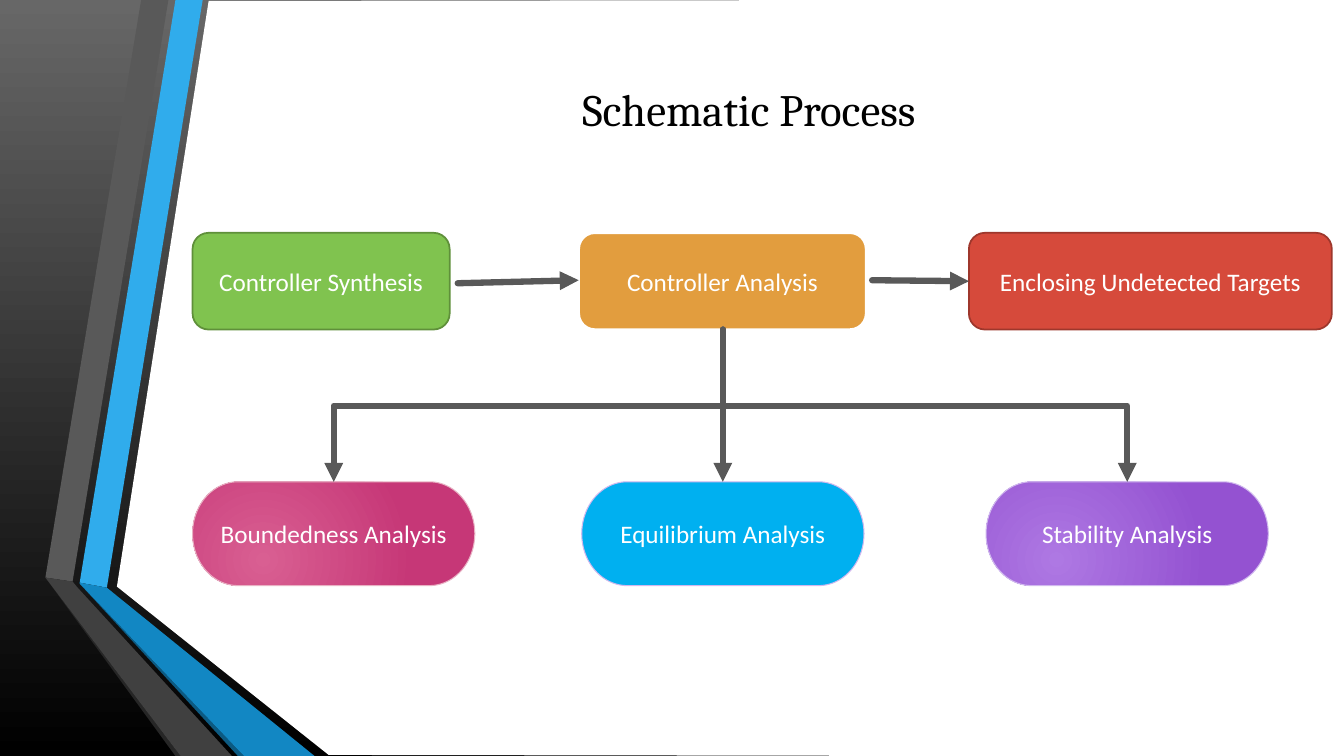
from dataclasses import dataclass
from typing import Optional, Union

from lxml import etree
from pptx import Presentation
from pptx.dml.color import RGBColor
from pptx.dml.fill import FillFormat
from pptx.enum.shapes import MSO_CONNECTOR, MSO_SHAPE
from pptx.enum.text import MSO_ANCHOR, PP_ALIGN
from pptx.oxml.ns import qn
from pptx.shapes.autoshape import Shape
from pptx.shapes.connector import Connector
from pptx.shapes.shapetree import GroupShapes, SlideShapes
from pptx.util import Inches, Pt

RECTANGLE = MSO_SHAPE.RECTANGLE
ROUNDED = MSO_SHAPE.ROUNDED_RECTANGLE
TERMINATOR = MSO_SHAPE.FLOWCHART_TERMINATOR
STRAIGHT = MSO_CONNECTOR.STRAIGHT
ELBOW = MSO_CONNECTOR.ELBOW
CENTER = PP_ALIGN.CENTER
MIDDLE = MSO_ANCHOR.MIDDLE

WHITE = RGBColor(0xFF, 0xFF, 0xFF)
BLACK = RGBColor(0x00, 0x00, 0x00)
BACKDROP_TOP = RGBColor(0x67, 0x67, 0x67)
GRAY = RGBColor(0x59, 0x59, 0x59)
DARK_GRAY = RGBColor(0x40, 0x40, 0x40)
DEEP_GRAY = RGBColor(0x26, 0x26, 0x26)
SKY = RGBColor(0x30, 0xAC, 0xEC)
BLUE = RGBColor(0x12, 0x87, 0xC3)
DEEP_BLUE = RGBColor(0x0C, 0x5A, 0x82)
GREEN = RGBColor(0x80, 0xC3, 0x4F)
GREEN_EDGE = RGBColor(0x5F, 0x90, 0x3A)
ORANGE = RGBColor(0xE2, 0x9D, 0x3E)
RED = RGBColor(0xD6, 0x4A, 0x3B)
RED_EDGE = RGBColor(0x9E, 0x37, 0x2C)
LIGHT_PINK = RGBColor(0xD9, 0x5F, 0x92)
PINK = RGBColor(0xC6, 0x37, 0x77)
PINK_EDGE = RGBColor(0xE8, 0xB1, 0xC3)
CYAN = RGBColor(0x00, 0xB0, 0xF0)
LIGHT_PURPLE = RGBColor(0xAE, 0x78, 0xE3)
PURPLE = RGBColor(0x94, 0x52, 0xD1)
PURPLE_EDGE = RGBColor(0xD0, 0xB8, 0xEE)

SLIDE_WIDTH, SLIDE_HEIGHT = 13.33, 7.5
STEP_TOP, STEP_HEIGHT = 2.31, 0.96
ANALYSIS_TOP, ANALYSIS_WIDTH, ANALYSIS_HEIGHT = 4.78, 2.8, 1.03
BRANCH_X, BRANCH_TOP = 7.17, STEP_TOP + STEP_HEIGHT

Point = tuple[float, float]


@dataclass(frozen=True)
class Box:
    label: str
    left: float
    top: float
    width: float
    height: float
    preset: MSO_SHAPE
    fill: RGBColor
    edge: RGBColor
    edge_width: float
    glow: Optional[RGBColor] = None


@dataclass(frozen=True)
class Band:
    color: RGBColor
    points: list[Point]


def step(label: str, left: float, width: float, fill: RGBColor,
         edge: RGBColor, edge_width: float = 1.25) -> Box:
    return Box(label, left, STEP_TOP, width, STEP_HEIGHT, ROUNDED, fill, edge, edge_width)


def analysis(label: str, left: float, fill: RGBColor, edge: RGBColor,
             glow: Optional[RGBColor] = None) -> Box:
    return Box(label, left, ANALYSIS_TOP, ANALYSIS_WIDTH, ANALYSIS_HEIGHT,
               TERMINATOR, fill, edge, 0.75, glow)


STEPS = [
    step("Controller Synthesis", 1.91, 2.55, GREEN, GREEN_EDGE),
    step("Controller Analysis", 5.74, 2.85, ORANGE, WHITE, 1.75),
    step("Enclosing Undetected Targets", 9.61, 3.6, RED, RED_EDGE),
]
ANALYSES = [
    analysis("Boundedness Analysis", 1.91, PINK, PINK_EDGE, LIGHT_PINK),
    analysis("Equilibrium Analysis", 5.77, CYAN, PURPLE_EDGE),
    analysis("Stability Analysis", 9.78, PURPLE, PURPLE_EDGE, LIGHT_PURPLE),
]
STEP_ARROWS = [((4.54, 2.81), (5.74, 2.78)), ((8.65, 2.78), (9.61, 2.79))]
BRANCH_ENDS = [3.31, 11.18, BRANCH_X]

PAGE = Band(WHITE, [(13.33, 0), (13.33, 7.5), (9.5, 7.5), (3.26, 7.49),
                    (1.16, 5.82), (2.07, 0.01), (9.5, 0)])
BANDS = [
    Band(SKY, [(0.79, 5.78), (1.06, 5.83), (2.01, 0), (1.74, 0)]),
    Band(GRAY, [(1.67, 0), (1.4, 0), (0.45, 5.73), (0.72, 5.77)]),
    Band(DEEP_GRAY, [(0.45, 5.73), (1.74, 7.5), (1.79, 7.5)]),
    Band(DEEP_BLUE, [(0.79, 5.79), (2.36, 7.5), (2.42, 7.5)]),
    Band(BLUE, [(0.79, 5.79), (2.42, 7.5), (3.12, 7.5), (1.06, 5.83), (0.79, 5.78)]),
    Band(DARK_GRAY, [(2.3, 7.5), (0.77, 5.83), (0.72, 5.77), (0.45, 5.73), (1.79, 7.5)]),
]


def write_text(shape: Shape, text: str, *, size: float, font: str, color: RGBColor) -> None:
    frame = shape.text_frame
    frame.word_wrap = True
    frame.vertical_anchor = MIDDLE
    paragraph = frame.paragraphs[0]
    paragraph.alignment = CENTER
    run = paragraph.add_run()
    run.text = text
    run.font.size = Pt(size)
    run.font.name = font
    run.font.color.rgb = color


def fill_gradient(fill: FillFormat, start: RGBColor, end: RGBColor) -> None:
    fill.gradient()
    fill.gradient_angle = 270
    for stop, color in zip(fill.gradient_stops, (start, end)):
        stop.color.rgb = color


def make_radial(shape: Shape) -> None:
    """Turn the linear gradient of the shape into a circular one."""
    gradient = shape._element.spPr.find(qn("a:gradFill"))
    gradient.remove(gradient.find(qn("a:lin")))
    circle = etree.SubElement(gradient, qn("a:path"), path="circle")
    etree.SubElement(circle, qn("a:fillToRect"), l="50000", t="100000", r="100000", b="50000")


def draw_backdrop(shapes: SlideShapes) -> None:
    backdrop = shapes.add_shape(RECTANGLE, 0, 0, Inches(SLIDE_WIDTH), Inches(SLIDE_HEIGHT))
    backdrop.shadow.inherit = False
    backdrop.line.fill.background()
    fill_gradient(backdrop.fill, BACKDROP_TOP, BLACK)


def draw_band(shapes: Union[SlideShapes, GroupShapes], band: Band) -> None:
    start, *others = [(Inches(x), Inches(y)) for x, y in band.points]
    builder = shapes.build_freeform(*start)
    builder.add_line_segments(others, close=True)
    shape = builder.convert_to_shape()
    shape.shadow.inherit = False
    shape.fill.solid()
    shape.fill.fore_color.rgb = band.color
    shape.line.fill.background()


def draw_box(shapes: SlideShapes, box: Box) -> None:
    shape = shapes.add_shape(box.preset, Inches(box.left), Inches(box.top),
                             Inches(box.width), Inches(box.height))
    shape.shadow.inherit = False
    if box.glow is None:
        shape.fill.solid()
        shape.fill.fore_color.rgb = box.fill
    else:
        fill_gradient(shape.fill, box.glow, box.fill)
        make_radial(shape)
    shape.line.color.rgb = box.edge
    shape.line.width = Pt(box.edge_width)
    write_text(shape, box.label, size=18, font="Calibri", color=WHITE)


def draw_arrow(shapes: SlideShapes, kind: MSO_CONNECTOR, start: Point, end: Point) -> Connector:
    arrow = shapes.add_connector(kind, *(Inches(value) for value in (*start, *end)))
    arrow.line.color.rgb = GRAY
    arrow.line.width = Pt(4.5)
    properties = arrow._element.spPr
    outline = properties.find(qn("a:ln"))
    outline.set("cap", "rnd")
    etree.SubElement(outline, qn("a:tailEnd"), type="triangle")
    etree.SubElement(properties, qn("a:effectLst"))
    return arrow


def draw_branch(shapes: SlideShapes, end_x: float) -> None:
    """Draw an elbow that leaves downwards, as a quarter-turned connector."""
    center_x, center_y = (BRANCH_X + end_x) / 2, (BRANCH_TOP + ANALYSIS_TOP) / 2
    half_drop, half_span = (ANALYSIS_TOP - BRANCH_TOP) / 2, abs(end_x - BRANCH_X) / 2
    side, degrees = (-1, 90) if end_x < BRANCH_X else (1, 270)
    arrow = draw_arrow(shapes, ELBOW,
                       (center_x + side * half_drop, center_y - half_span),
                       (center_x - side * half_drop, center_y + half_span))
    arrow._element.spPr.find(qn("a:xfrm")).set("rot", str(degrees * 60000))


def main() -> None:
    presentation = Presentation()
    presentation.slide_width = Inches(SLIDE_WIDTH)
    presentation.slide_height = Inches(SLIDE_HEIGHT)
    shapes = presentation.slides.add_slide(presentation.slide_layouts[6]).shapes
    draw_backdrop(shapes)
    draw_band(shapes, PAGE)
    ribbon = shapes.add_group_shape().shapes
    for band in BANDS:
        draw_band(ribbon, band)
    title = shapes.add_textbox(Inches(1.95), Inches(0.77), Inches(10.96), Inches(0.62))
    write_text(title, "Schematic Process", size=32, font="Cambria", color=BLACK)
    for box in STEPS + ANALYSES:
        draw_box(shapes, box)
    for start, end in STEP_ARROWS:
        draw_arrow(shapes, STRAIGHT, start, end)
    for end_x in BRANCH_ENDS:
        draw_branch(shapes, end_x)
    presentation.save("out.pptx")


if __name__ == "__main__":
    main()
